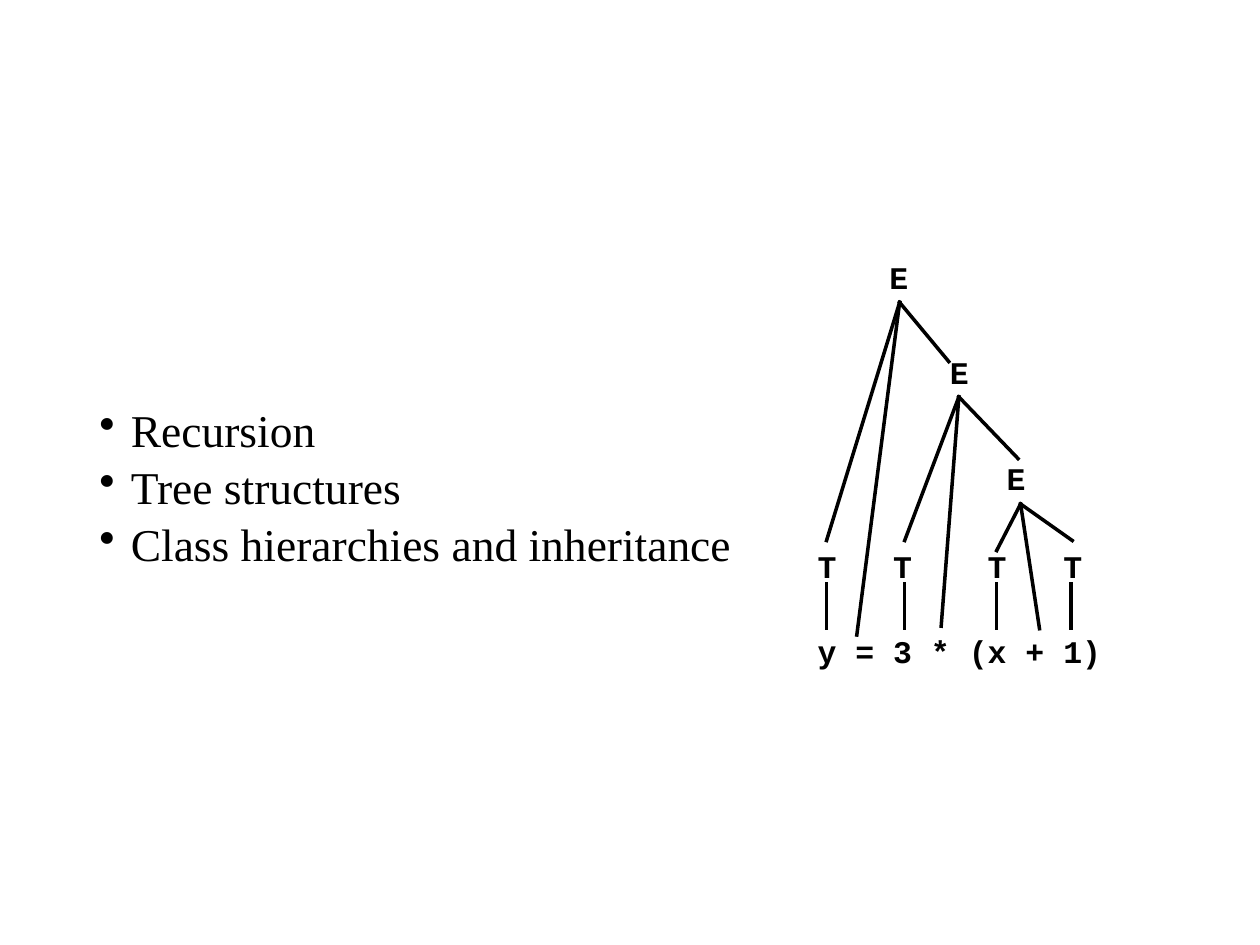
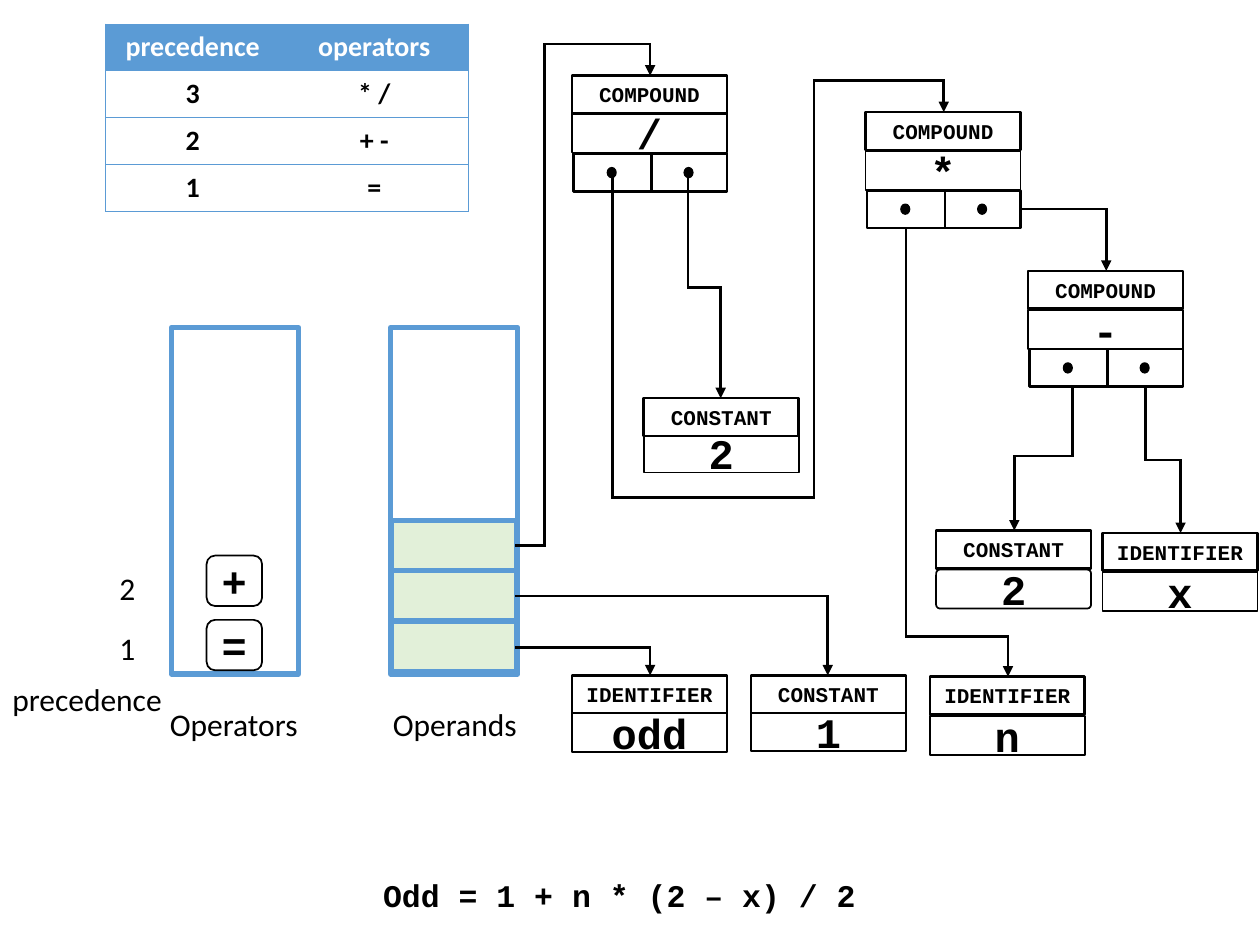
from dataclasses import dataclass
from itertools import pairwise

from lxml.etree import SubElement
from pptx import Presentation
from pptx.dml.color import RGBColor
from pptx.enum.shapes import MSO_CONNECTOR, MSO_SHAPE
from pptx.enum.text import MSO_ANCHOR, MSO_AUTO_SIZE, PP_ALIGN
from pptx.oxml.ns import qn
from pptx.util import Inches, Pt

BLACK, WHITE, BLUE, GREEN = "000000", "FFFFFF", "5B9BD5", "E2F0D9"
CODE = {"name": "Courier New", "size": Pt(18), "bold": True}
KIND = CODE | {"size": Pt(12)}
VALUE = CODE | {"size": Pt(24)}
CAPTION = {"name": "Calibri", "size": Pt(18), "bold": False}
TABLE_TEXT = {"name": "Calibri", "size": Pt(16), "bold": True}
TOPIC = {"name": "Times New Roman", "size": Pt(26), "bold": False}
NODE_WIDTH, NODE_HEIGHT = 1.23, 0.3

Point = tuple[float, float]


@dataclass(frozen=True)
class Box:
    left: float
    top: float
    width: float
    height: float


@dataclass(frozen=True)
class Node:
    kind: str
    value: str
    left: float
    top: float
    value_drop: float = 0.31
    rounding: float = 0


@dataclass(frozen=True)
class Caption:
    text: str
    box: Box


TOPICS = ["Recursion", "Tree structures", "Class hierarchies and inheritance"]
EXPRESSION_LEFT, CHARACTER_WIDTH = 6.39, 0.15
TERM_COLUMNS = [0, 4, 9, 13]
EXPRESSION_NODES = [(6.96, 2), (7.44, 2.75), (7.89, 3.59)]
TERM_STEMS = [6.56, 7.18, 7.91, 8.5]
BRANCHES = {
    (7.14, 2.4): [(6.56, 4.29), (6.8, 5.04), (7.53, 2.87)],
    (7.61, 3.15): [(7.18, 4.29), (7.47, 4.97), (8.08, 3.64)],
    (8.1, 4): [(7.91, 4.37), (8.25, 4.99), (8.51, 4.29)],
}

PRECEDENCE = [("precedence", "operators"), ("3", "* /"), ("2", "+ -"), ("1", "=")]
STACK_LEFTS = [1.36, 3.1]
OPERATORS = [("=", 4.92), ("+", 4.41)]
CAPTIONS = [
    Caption("2", Box(0.85, 4.47, 0.33, 0.4)),
    Caption("1", Box(0.85, 4.94, 0.33, 0.4)),
    Caption("precedence", Box(0, 5.35, 1.4, 0.4)),
    Caption("Operators", Box(1.25, 5.55, 1.23, 0.4)),
    Caption("Operands", Box(3.02, 5.55, 1.2, 0.4)),
]
NODES = [
    Node("COMPOUND", "/", 4.54, 0.6, 0.3),
    Node("COMPOUND", "*", 6.87, 0.89),
    Node("COMPOUND", "-", 8.16, 2.15),
    Node("CONSTANT", "2", 5.11, 3.16, 0.28),
    Node("CONSTANT", "2", 7.43, 4.21, rounding=0.1),
    Node("IDENTIFIER", "x", 8.75, 4.23),
    Node("IDENTIFIER", "odd", 4.54, 5.36, 0.3),
    Node("CONSTANT", "1", 5.96, 5.36, 0.29),
    Node("IDENTIFIER", "n", 7.38, 5.37),
]
REFERENCES = [
    [(4.1, 4.33), (4.32, 4.33), (4.32, 0.35), (5.16, 0.35), (5.16, 0.6)],
    [(4.1, 4.73), (6.57, 4.73), (6.57, 5.36)],
    [(4.1, 5.14), (5.16, 5.14), (5.16, 5.36)],
    [(4.86, 1.41), (4.86, 3.95), (6.46, 3.95), (6.46, 0.64), (7.49, 0.64), (7.49, 0.89)],
    [(5.46, 1.41), (5.46, 2.28), (5.72, 2.28), (5.72, 3.16)],
    [(7.19, 1.82), (7.19, 5.05), (8, 5.05), (8, 5.37)],
    [(8.1, 1.66), (8.78, 1.66), (8.78, 2.15)],
    [(8.51, 3.07), (8.51, 3.62), (8.05, 3.62), (8.05, 4.21)],
    [(9.09, 3.07), (9.09, 3.65), (9.37, 3.65), (9.37, 4.23)],
]


def color(value: str) -> RGBColor:
    return RGBColor.from_string(value)


def place(box: Box) -> list[int]:
    return [Inches(n) for n in (box.left, box.top, box.width, box.height)]


def write(paragraph, text: str, font: dict, ink: str = BLACK) -> None:
    run = paragraph.add_run()
    run.text = text
    for attribute, setting in font.items():
        setattr(run.font, attribute, setting)
    run.font.color.rgb = color(ink)


def add_text(slide, text: str, box: Box, font: dict, wrap: bool = False) -> None:
    frame = slide.shapes.add_textbox(*place(box)).text_frame
    frame.word_wrap = wrap
    frame.auto_size = MSO_AUTO_SIZE.SHAPE_TO_FIT_TEXT
    paragraph = frame.paragraphs[0]
    if wrap:
        paragraph.alignment = PP_ALIGN.CENTER
    write(paragraph, text, font)


def add_block(slide, box: Box, preset=MSO_SHAPE.RECTANGLE, fill: str = WHITE,
              line: str = BLACK, weight: float = 1.5, text: str = "",
              font: dict = VALUE, rounding: float | None = None) -> None:
    block = slide.shapes.add_shape(preset, *place(box))
    block.shadow.inherit = False
    block.fill.solid()
    block.fill.fore_color.rgb = color(fill)
    block.line.color.rgb = color(line)
    block.line.width = Pt(weight)
    if rounding is not None:
        block.adjustments[0] = rounding
    if text:
        block.text_frame.vertical_anchor = MSO_ANCHOR.MIDDLE
        paragraph = block.text_frame.paragraphs[0]
        paragraph.alignment = PP_ALIGN.CENTER
        write(paragraph, text, font)


def add_line(slide, start: Point, end: Point, weight: float, arrow: bool = False) -> None:
    ends = [Inches(n) for n in (*start, *end)]
    connector = slide.shapes.add_connector(MSO_CONNECTOR.STRAIGHT, *ends)
    connector.line.color.rgb = color(BLACK)
    connector.line.width = Pt(weight)
    properties = connector.line._get_or_add_ln()
    properties.set("cap", "flat" if arrow else "sq")
    if arrow:
        SubElement(properties, qn("a:tailEnd"), type="triangle")
    SubElement(connector._element.spPr, qn("a:effectLst"))


def add_reference(slide, route: list[Point]) -> None:
    legs = list(pairwise(route))
    for start, end in legs:
        add_line(slide, start, end, 1.5, arrow=(start, end) == legs[-1])


def add_node(slide, node: Node) -> None:
    rounded = MSO_SHAPE.ROUNDED_RECTANGLE
    if node.kind == "COMPOUND":
        pointer_top = node.top + 0.62
        for offset, width in ((0.01, 0.62), (0.63, 0.6)):
            add_block(slide, Box(node.left + offset, pointer_top, width, NODE_HEIGHT),
                      rounded, rounding=0)
        for offset in (0.28, 0.89):
            add_block(slide, Box(node.left + offset, pointer_top + 0.11, 0.07, 0.08),
                      MSO_SHAPE.OVAL, BLACK, weight=0.75)
    add_block(slide, Box(node.left, node.top + node.value_drop, NODE_WIDTH, 0.31),
              rounded, weight=1, text=node.value, rounding=node.rounding)
    add_block(slide, Box(node.left, node.top, NODE_WIDTH, NODE_HEIGHT),
              rounded, text=node.kind, font=KIND, rounding=0)


def set_borders(cell, sides: dict[str, bool]) -> None:
    properties = cell._tc.get_or_add_tcPr()
    for index, (side, visible) in enumerate(sides.items()):
        border = properties.makeelement(qn(f"a:{side}"), {"w": str(Pt(0.5))})
        if visible:
            paint = SubElement(border, qn("a:solidFill"))
            SubElement(paint, qn("a:srgbClr"), val=BLUE)
        else:
            SubElement(border, qn("a:noFill"))
        properties.insert(index, border)


def add_precedence_table(slide) -> None:
    row_height = 0.37
    area = Box(0.84, 0.19, 2.88, row_height * len(PRECEDENCE))
    table = slide.shapes.add_table(len(PRECEDENCE), 2, *place(area)).table
    table.horz_banding = False
    for column, width in zip(table.columns, (1.38, 1.5)):
        column.width = Inches(width)
    for row, entries in enumerate(PRECEDENCE):
        table.rows[row].height = Inches(row_height)
        for column, entry in enumerate(entries):
            cell = table.cell(row, column)
            cell.fill.solid()
            cell.fill.fore_color.rgb = color(WHITE if row else BLUE)
            set_borders(cell, {"lnL": column == 0, "lnR": column == 1,
                               "lnT": True, "lnB": True})
            paragraph = cell.text_frame.paragraphs[0]
            paragraph.alignment = PP_ALIGN.CENTER
            write(paragraph, entry, TABLE_TEXT, BLACK if row else WHITE)


def add_topics(slide) -> None:
    frame = slide.shapes.add_textbox(*place(Box(0.69, 3.21, 8.62, 3.55))).text_frame
    frame.word_wrap = True
    for index, topic in enumerate(TOPICS):
        paragraph = frame.add_paragraph() if index else frame.paragraphs[0]
        layout = {"alignment": PP_ALIGN.JUSTIFY, "line_spacing": 0.85, "space_after": Pt(6)}
        for attribute, setting in layout.items():
            setattr(paragraph, attribute, setting)
        properties = paragraph._p.get_or_add_pPr()
        properties.set("marL", str(Inches(0.25)))
        properties.set("indent", str(-Inches(0.25)))
        SubElement(properties, qn("a:buChar"), char="•")
        write(paragraph, topic, TOPIC)


def build_topics_slide(slide) -> None:
    add_topics(slide)
    add_text(slide, "y = 3 * (x + 1)", Box(EXPRESSION_LEFT, 4.97, 2.45, 0.4), CODE)
    for column in TERM_COLUMNS:
        left = EXPRESSION_LEFT + column * CHARACTER_WIDTH
        add_text(slide, "T", Box(left, 4.29, 0.35, 0.4), CODE)
    for left, top in EXPRESSION_NODES:
        add_text(slide, "E", Box(left, top, 0.35, 0.4), CODE)
    for stem in TERM_STEMS:
        add_line(slide, (stem, 4.63), (stem, 4.99), 2)
    for parent, children in BRANCHES.items():
        for child in children:
            add_line(slide, parent, child, 2)


def build_stacks_slide(slide) -> None:
    add_precedence_table(slide)
    for left in STACK_LEFTS:
        add_block(slide, Box(left, 2.6, 1.01, 2.75), line=BLUE, weight=3)
    for level in range(3):
        add_block(slide, Box(3.11, 4.13 + 0.4 * level, 0.99, 0.4),
                  fill=GREEN, line=BLUE, weight=3)
    for operator, top in OPERATORS:
        add_block(slide, Box(1.64, top, 0.44, 0.4), MSO_SHAPE.ROUNDED_RECTANGLE,
                  weight=1, text=operator)
    for caption in CAPTIONS:
        add_text(slide, caption.text, caption.box, CAPTION)
    for node in NODES:
        add_node(slide, node)
    for route in REFERENCES:
        add_reference(slide, route)
    add_text(slide, "Odd = 1 + n * (2 – x) / 2", Box(2.62, 6.9, 4.59, 0.4), CODE, wrap=True)


def main() -> None:
    deck = Presentation()
    deck.slide_width, deck.slide_height = Inches(10), Inches(7.5)
    for build in (build_topics_slide, build_stacks_slide):
        build(deck.slides.add_slide(deck.slide_layouts[6]))
    deck.save("out.pptx")


if __name__ == "__main__":
    main()
